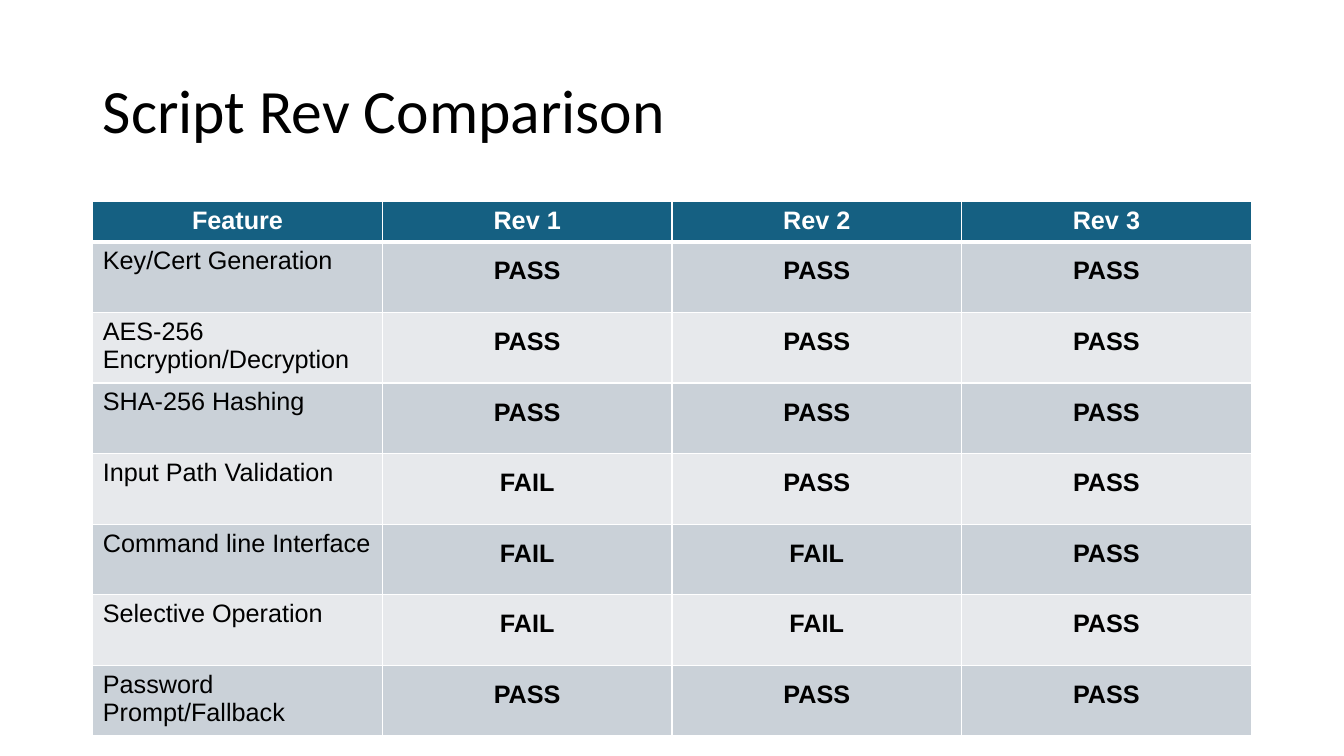
from dataclasses import dataclass

from lxml.etree import SubElement as Sub
from pptx import Presentation
from pptx.dml.color import RGBColor as Rgb
from pptx.enum.text import MSO_ANCHOR as Anchor, PP_ALIGN as Align
from pptx.oxml.ns import qn
from pptx.util import Inches, Pt


@dataclass(frozen=True)
class Theme:
    """Colours, fonts and type sizes of the slide."""
    head: str = "156082"
    bands: tuple = ("CAD1D8", "E7E9EC")
    ink: str = "000000"
    white: str = "FFFFFF"
    title: str = "Calibri"
    body: str = "Arial"
    big: int = 44
    text: int = 18


THEME = Theme()
WIDE, HIGH = 13.33, 7.5
LEFT = 0.92
SPAN = WIDE - 2 * LEFT
HEAD = ("Feature", "Rev 1", "Rev 2", "Rev 3")
TESTS = (
    ("Key/Cert Generation", "PASS", "PASS", "PASS"),
    ("AES-256 Encryption/Decryption", "PASS", "PASS", "PASS"),
    ("SHA-256 Hashing", "PASS", "PASS", "PASS"),
    ("Input Path Validation", "FAIL", "PASS", "PASS"),
    ("Command line Interface", "FAIL", "FAIL", "PASS"),
    ("Selective Operation", "FAIL", "FAIL", "PASS"),
    ("Password Prompt/Fallback", "PASS", "PASS", "PASS"),
)


def style(para, face, size, color, bold=False):
    """Set the font of one paragraph."""
    font = para.font
    font.name, font.size, font.bold = face, Pt(size), bold
    font.color.rgb = Rgb.from_string(color)


def add_title(slide, box, text):
    """Place and format the title in its box."""
    title = slide.shapes.title
    title.left, title.top, title.width, title.height = map(Inches, box)
    frame = title.text_frame
    frame.text = text
    frame.word_wrap = True
    frame.vertical_anchor = Anchor.MIDDLE
    para = frame.paragraphs[0]
    para.alignment = Align.LEFT
    para.line_spacing = 0.9
    style(para, THEME.title, THEME.big, THEME.ink)


def add_edges(cell, top, base):
    """Draw white rules round a cell, widths in points."""
    props = cell._tc.get_or_add_tcPr()
    for side, width in (("L", 1), ("R", 1), ("T", top), ("B", base)):
        line = Sub(props, qn(f"a:ln{side}"), w=str(Pt(width)))
        fill = Sub(line, qn("a:solidFill"))
        Sub(fill, qn("a:srgbClr"), val=THEME.white)


def fill_cell(cell, text, row, col):
    """Write and format one cell by its row and column."""
    head, name = row == 0, col == 0
    add_edges(cell, 3 if row == 1 else 1, 3 if head else 1)
    color = THEME.head if head else THEME.bands[(row - 1) % 2]
    cell.fill.solid()
    cell.fill.fore_color.rgb = Rgb.from_string(color)
    cell.margin_left = cell.margin_right = Inches(0.1)
    cell.margin_top = Inches(0.05 if head or name else 0.15)
    cell.margin_bottom = Inches(0.05)
    cell.text = text
    para = cell.text_frame.paragraphs[0]
    para.alignment = Align.CENTER if head or not name else Align.LEFT
    style(para, THEME.body, THEME.text, THEME.white if head else THEME.ink,
          head or not name)


def add_grid(slide, box, rows, first):
    """Fill a box with a table whose first row has its own height."""
    count = len(rows[0])
    table = slide.shapes.add_table(len(rows), count, *map(Inches, box)).table
    for col in table.columns:
        col.width = Inches(box[2] / count)
    rest = (box[3] - first) / (len(rows) - 1)
    for i, row in enumerate(rows):
        table.rows[i].height = Inches(rest if i else first)
        for j, text in enumerate(row):
            fill_cell(table.cell(i, j), text, i, j)


def main():
    """Build and save the slide."""
    deck = Presentation()
    deck.slide_width, deck.slide_height = Inches(WIDE), Inches(HIGH)
    slide = deck.slides.add_slide(deck.slide_layouts[5])
    add_title(slide, (LEFT, 0.4, SPAN, 1.45), "Script Rev Comparison")
    add_grid(slide, (LEFT, 2, SPAN, 5.3), (HEAD, *TESTS), 0.4)
    deck.save("out.pptx")


if __name__ == "__main__":
    main()
